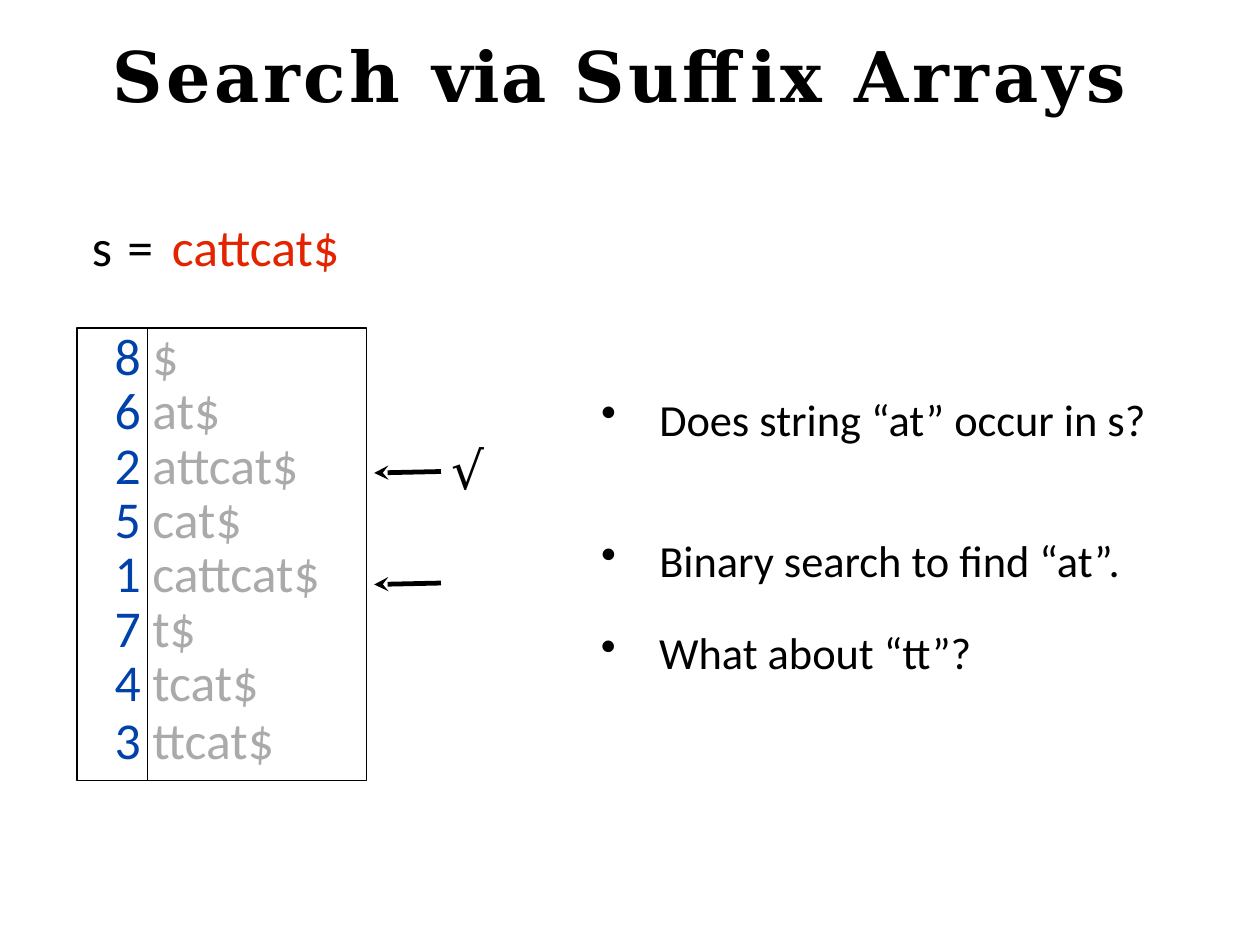
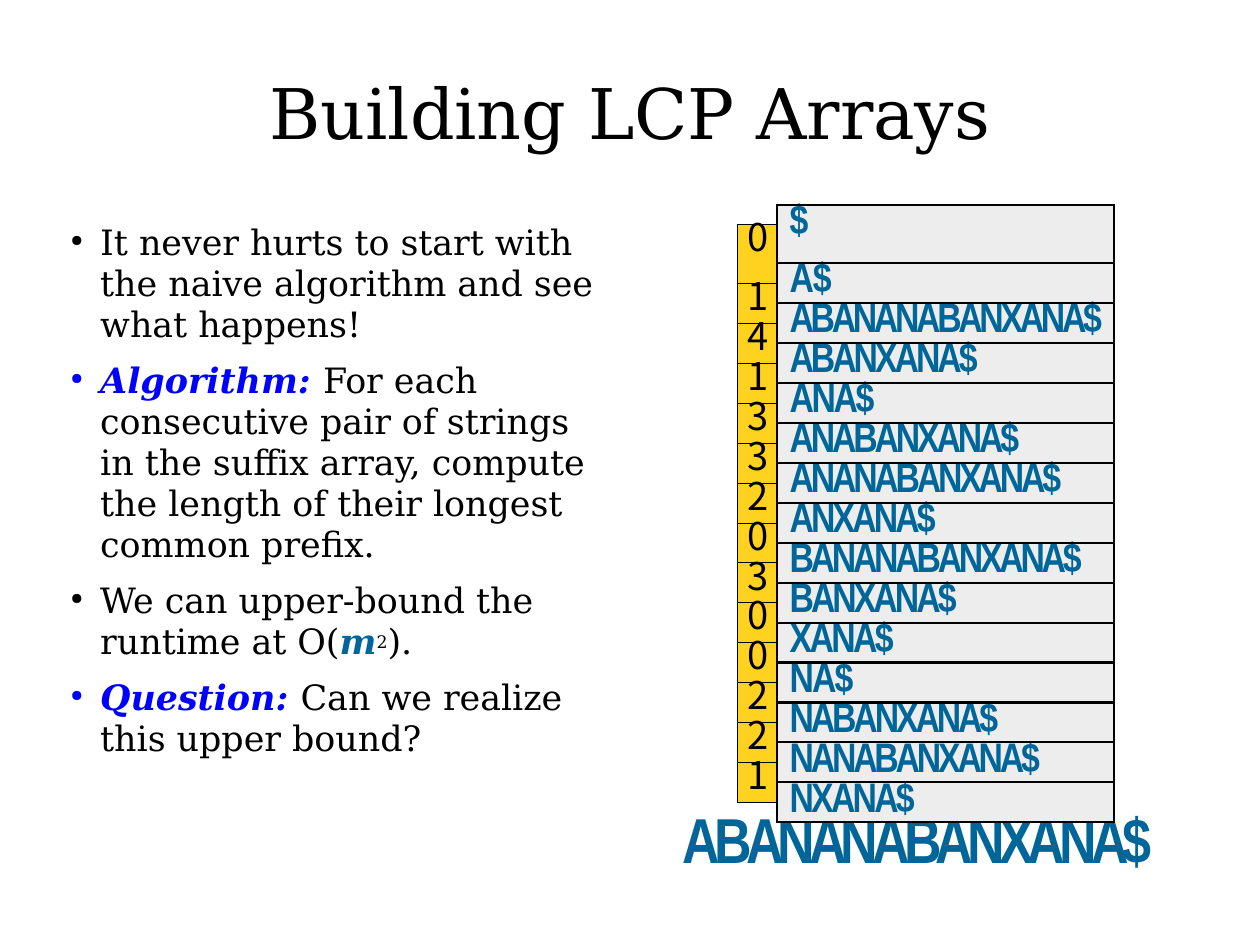
from lxml import etree
from pptx import Presentation, util as u
from pptx.dml.color import RGBColor
from pptx.enum import shapes, text
from pptx.oxml.ns import qn

rgb = RGBColor.from_string
BLACK, RED, BLUE, GREY = "000000", "E32400", "0042AA", "AAAAAA"
TEAL, LINK, GOLD, PALE = "006699", "0000FF", "FFD21F", "EDEDED"
SERIF, SANS, SLIM = "DejaVu Serif", "Calibri", "Arial Narrow"

deck = Presentation()
deck.slide_width, deck.slide_height = u.Inches(11.03), u.Inches(8.27)
# The grid has 100 columns and 100 rows.
COL, ROW = deck.slide_width / 100, deck.slide_height / 100


def box(page, x, y, w, h):
    """Add a text box without margins, placed in grid columns and rows."""
    frame = page.shapes.add_textbox(
        int(x * COL), int(y * ROW), int(w * COL), int(h * ROW)).text_frame
    frame.word_wrap = True
    frame.margin_left = frame.margin_right = 0
    frame.margin_top = frame.margin_bottom = 0
    return frame


def say(par, runs, face, size, hue=BLACK, bold=False, bullet=None):
    """Write runs of (words, colour or None, run attributes).

    bullet holds the sign, its hanging indent in inches and its size in percent.
    """
    if bullet:
        sign, hang, share = bullet
        props = par._p.get_or_add_pPr()
        props.set("marL", str(u.Inches(hang)))
        props.set("indent", str(-u.Inches(hang)))
        etree.SubElement(props, qn("a:buSzPct")).set("val", str(share * 1000))
        etree.SubElement(props, qn("a:buChar")).set("char", sign)
    font = par.font
    font.name, font.size, font.bold = face, u.Pt(size), bold
    font.color.rgb = rgb(hue)
    for words, tint, attrs in runs:
        run = par.add_run()
        run.text = words
        if tint:
            run.font.color.rgb = rgb(tint)
        for key, val in attrs.items():
            run._r.get_or_add_rPr().set(key, val)


# Titles
heads = [
    ([("Search ", None, {"spc": "220"}), ("via ", None, {"spc": "80"}),
      ("Suffix Arrays", None, {"spc": "240"})], 3.5, 6.1, 86.2, True),
    ([("Building LCP Arrays", None, {"spc": "-10"})], 7.4, 20, 60, False),
]
pages = []
for runs, top, left, wide, bold in heads:
    page = deck.slides.add_slide(deck.slide_layouts[6])
    par = box(page, left, top, wide, 9.2).paragraphs[0]
    par.alignment = text.PP_ALIGN.CENTER
    say(par, runs, SERIF, 44, bold=bold)
    pages.append(page)
find, build = pages

# Search: the questions
DOT = ("•", 0.51, 100)
ask = box(find, 47.7, 39.7, 43.9, 14.5)
for i, words in enumerate(["Does string “at” occur in s?",
                           "Binary search to find “at”."]):
    par = ask.paragraphs[0] if i == 0 else ask.add_paragraph()
    par.line_spacing = 1.31
    par.space_before = u.Pt(45 * i)
    say(par, [(words, None, {})], SANS, 28, bullet=DOT)
say(box(find, 47.7, 66.2, 35.4, 5.8).paragraphs[0],
    [("What about “tt”?", None, {})], SANS, 28, bullet=DOT)

# Search: the string
par = box(find, 7.3, 22.7, 19.9, 6.8).paragraphs[0]
tabs = etree.SubElement(par._p.get_or_add_pPr(), qn("a:tabLst"))
for stop in (0.31, 0.7):
    tab = etree.SubElement(tabs, qn("a:tab"))
    tab.set("pos", str(u.Inches(stop)))
    tab.set("algn", "l")
say(par, [("s\t=\t", None, {}), ("cattcat$", RED, {})], SANS, 32.6)

# Search: the suffix array
TOP, TALL = 34.7, 47.9
for left, wide in ((6.1, 5.6), (11.7, 17.4)):
    frame = find.shapes.add_shape(
        shapes.MSO_SHAPE.RECTANGLE, int(left * COL), int(TOP * ROW),
        int(wide * COL), int(TALL * ROW))
    frame.shadow.inherit = False
    frame.fill.background()
    frame.line.color.rgb = rgb(BLACK)
    frame.line.width = u.Pt(1)

word = "cattcat$"
order = [8, 6, 2, 5, 1, 7, 4, 3]
array = box(find, 6.1, TOP, 23, TALL)
array.margin_left = u.Inches(0.33)
for i, start in enumerate(order):
    par = array.paragraphs[0] if i == 0 else array.add_paragraph()
    par.line_spacing = u.Pt(36.6 if i in (0, len(order) - 1) else 34.2)
    say(par, [(f"{start} ", BLUE, {}), (word[start - 1:], GREY, {})], SANS, 32.6)

for y in (49.9, 61.7):
    arrow = find.shapes.add_connector(
        shapes.MSO_CONNECTOR.STRAIGHT, int(35 * COL), int(y * ROW),
        int(29.7 * COL), int((y + 0.15) * ROW))
    arrow.line.color.rgb = rgb(BLACK)
    arrow.line.width = u.Pt(3)
    etree.SubElement(arrow.line._get_or_add_ln(), qn("a:tailEnd")).set("type", "stealth")
    etree.SubElement(arrow._element.spPr, qn("a:effectLst"))
say(box(find, 35.8, 46.3, 3.6, 6.8).paragraphs[0], [("√", None, {})], "Noto Sans", 32.6)

# Building: the text
STRONG = {"b": "1", "i": "1"}
points = [
    [("It never hurts to start with the naive algorithm and see what happens!", None, {})],
    [("Algorithm: ", LINK, STRONG),
     ("For each consecutive pair of strings in the suffix array, compute "
      "the length of their longest common prefix.", None, {})],
    [("We can upper-bound the runtime at O(", None, {}), ("m", TEAL, STRONG),
     ("2", None, {"sz": "1880", "baseline": "18000"}), (").", None, {})],
    [("Question: ", LINK, STRONG), ("Can we realize this upper bound?", None, {})],
]
body = box(build, 5.6, 23.5, 42.1, 57)
for i, runs in enumerate(points):
    par = body.paragraphs[0] if i == 0 else body.add_paragraph()
    par.line_spacing = u.Pt(25.7)
    par.space_before = u.Pt(9.8 if i else 0)
    say(par, runs, SERIF, 22, bullet=("●", 0.26, 45))

par = box(build, 54.2, 85.7, 38.1, 7.1).paragraphs[0]
par.line_spacing = u.Pt(42)
say(par, [("ABANANABANXANA$", None, {"spc": "-370"})], SLIM, 40, TEAL, True)

# Building: each prefix length sits half a step below its suffix
tails = ["$", "A$", "ABANANABANXANA$", "ABANXANA$", "ANA$", "ANABANXANA$",
         "ANANABANXANA$", "ANXANA$", "BANANABANXANA$", "BANXANA$", "XANA$",
         "NA$", "NABANXANA$", "NANABANXANA$", "NXANA$"]
sizes = [0, 1, 4, 1, 3, 3, 2, 0, 3, 0, 0, 2, 2, 1]
count = 2 * len(tails)
grid = build.shapes.add_table(
    count, 2, int(58.5 * COL), int(21.65 * ROW), u.Inches(3.3), u.Inches(5.4)).table
grid.first_row = grid.horz_banding = False
grid._tbl.tblPr.find(qn("a:tableStyleId")).text = "{2D5ABB26-0587-4C30-8999-92F81FD0307C}"
for side, wide in zip(grid.columns, (0.35, 2.95)):
    side.width = u.Inches(wide)
for i, line in enumerate(grid.rows):
    line.height = u.Inches(0.33 if i == 1 else 0.175)

for c in (0, 1):
    for r in range(count):
        cell = grid.cell(r, c)
        cell.margin_left = u.Inches((0.09, 0.11)[c])
        cell.margin_right = cell.margin_top = cell.margin_bottom = 0
        par = cell.text_frame.paragraphs[0]
        step, half = divmod(r - 1 + c, 2)
        corner = c == 0 and r in (0, count - 1)
        if corner or half:
            etree.SubElement(par._p, qn("a:endParaRPr")).set("sz", "600")
        if corner:
            cell.fill.background()
            continue
        for edge in "LRTB":
            if edge == "T" and half:
                continue
            thin = c == 0 and edge != "R"
            rim = etree.SubElement(cell._tc.get_or_add_tcPr(), qn("a:ln" + edge))
            rim.set("w", str(u.Pt(0.25 if thin else 1.5)))
            paint = etree.SubElement(rim, qn("a:solidFill"))
            etree.SubElement(paint, qn("a:srgbClr")).set("val", BLACK)
        cell.fill.solid()
        cell.fill.fore_color.rgb = rgb((GOLD, PALE)[c])
        if half:
            continue
        par.line_spacing = u.Pt(24.2)
        if c:
            tail = tails[step]
            tight = min(0, round(320 / len(tail) - 230))
            say(par, [(tail, None, {"spc": str(tight)})], SLIM, 26, TEAL, True)
        else:
            say(par, [(str(sizes[step]), None, {})], "Noto Sans CJK SC", 24)
        cell.merge(grid.cell(r + 1, c))

deck.save("out.pptx")
